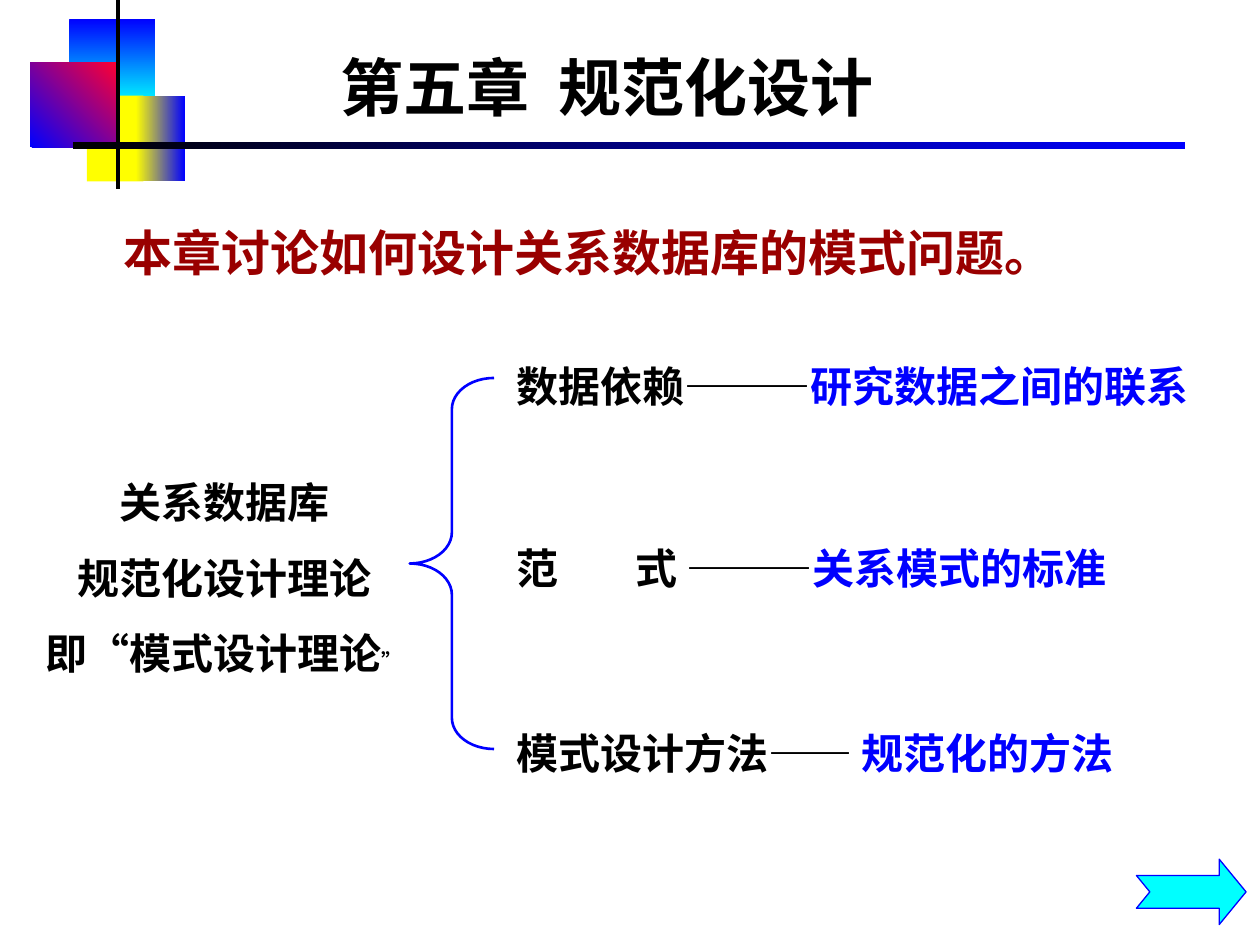
from pptx import Presentation
from pptx.dml.color import RGBColor
from pptx.enum.shapes import MSO_SHAPE
from pptx.enum.text import MSO_ANCHOR, PP_ALIGN
from pptx.oxml import parse_xml
from pptx.oxml.ns import nsdecls
from pptx.util import Cm, Pt

COLORS = {
    "black": "000000", "blue": "0000FF", "cyan": "00FFFF",
    "yellow": "FFFF00", "red": "FF0033", "dark_red": "990000",
}
SANS = "Noto Sans CJK SC"
SERIF = "Times New Roman"


def rgb(name):
    """Return the named colour."""
    return RGBColor.from_string(COLORS[name])


class SlideBuilder:
    """Hold the text style and the current slide, and add its elements."""

    def __init__(self, presentation):
        """Start a title-only slide."""
        self.slide = presentation.slides.add_slide(presentation.slide_layouts[5])
        self.style = {"name": SERIF, "size": Pt(24), "bold": True}

    def fill_text(self, frame, lines, align, spacing=1.0, **changes):
        """Fill a text frame with lines made of (text, colour, format) runs."""
        settings = {"word_wrap": True, "vertical_anchor": MSO_ANCHOR.TOP,
                    "margin_left": Cm(0.25), "margin_right": Cm(0.25),
                    "margin_top": Cm(0.13), "margin_bottom": Cm(0.13)}
        for key, value in settings.items():
            setattr(frame, key, value)
        for index, line in enumerate(lines):
            paragraph = frame.add_paragraph() if index else frame.paragraphs[0]
            paragraph.alignment = align
            paragraph.line_spacing = spacing
            for text, color, special in line:
                run = paragraph.add_run()
                run.text = text
                run.font.color.rgb = rgb(color)
                for key, value in {**self.style, **changes, **special}.items():
                    setattr(run.font, key, value)

    def title(self, box, text):
        """Place and format the title placeholder."""
        shape = self.slide.shapes.title
        shape.left, shape.top, shape.width, shape.height = map(Cm, box)
        self.fill_text(shape.text_frame, [[(text, "black", {})]], PP_ALIGN.CENTER,
                       name=SANS, size=Pt(36))

    def text(self, box, lines, align=PP_ALIGN.LEFT, spacing=1.0, tab=None, **changes):
        """Add a text box, with a tab stop if one is given."""
        frame = self.slide.shapes.add_textbox(*map(Cm, box)).text_frame
        if tab:
            properties = frame.paragraphs[0]._p.get_or_add_pPr()
            properties.append(parse_xml(
                f'<a:tabLst {nsdecls("a")}><a:tab pos="{Cm(tab)}" algn="l"/></a:tabLst>'))
        self.fill_text(frame, lines, align, spacing, **changes)

    def shape(self, kind, box, fill=None, line=None, width=0.75, adjustments=()):
        """Add a preset shape with an optional fill and outline."""
        shape = self.slide.shapes.add_shape(kind, *map(Cm, box))
        shape.shadow.inherit = False
        for index, value in enumerate(adjustments):
            shape.adjustments[index] = value
        if fill:
            shape.fill.solid()
            shape.fill.fore_color.rgb = rgb(fill)
        else:
            shape.fill.background()
        if line:
            shape.line.color.rgb = rgb(line)
            shape.line.width = Pt(width)
        else:
            shape.line.fill.background()
        return shape

    def gradient(self, box, start, end, angle):
        """Add a rectangle with a two-colour gradient, angle counter-clockwise."""
        fill = self.shape(MSO_SHAPE.RECTANGLE, box).fill
        fill.gradient()
        fill.gradient_angle = angle
        for stop, color, position in zip(fill.gradient_stops, (start, end), (0, 1)):
            stop.color.rgb = rgb(color)
            stop.position = position


def main():
    """Build the chapter overview slide."""
    presentation = Presentation()
    presentation.slide_width, presentation.slide_height = Cm(25.4), Cm(19.05)
    builder = SlideBuilder(presentation)

    builder.title((2.24, 0.84, 20, 2.1), "第五章  规范化设计")
    builder.text((2.24, 4.35, 21, 1.7),
                 [[("本章讨论如何设计关系数据库的模式问题。", "dark_red", {})]], size=Pt(28))
    builder.text((0.2, 8.97, 8.64, 3.94), [
        [("关系数据库", "black", {})],
        [("规范化设计理论", "black", {})],
        [("即“模式设计理论", "black", {}), ("”", "black", {"size": Pt(12)})],
    ], PP_ALIGN.CENTER, 1.5)

    topics = [
        (7.14, "数据依赖―――", "研究数据之间的联系", None),
        (10.8, "范\t式 ―――", "关系模式的标准", 2.4),
        (14.53, "模式设计方法―― ", "规范化的方法", None),
    ]
    for top, topic, meaning, tab in topics:
        builder.text((10.16, top, 14.6, 1.6),
                     [[(topic, "black", {}), (meaning, "blue", {})]], tab=tab)

    builder.shape(MSO_SHAPE.LEFT_BRACE, (8.26, 7.62, 1.7, 7.48), line="blue",
                  width=1.5, adjustments=(0.37, 0.5))
    builder.shape(MSO_SHAPE.NOTCHED_RIGHT_ARROW, (22.91, 17.32, 2.21, 1.32),
                  "cyan", "blue", adjustments=(0.5, 0.41))

    builder.gradient((1.4, 0.38, 1.73, 1.73), "blue", "cyan", 270)
    builder.shape(MSO_SHAPE.RECTANGLE, (1.75, 1.93, 1.14, 1.73), "yellow")
    builder.gradient((2.74, 1.93, 0.99, 1.73), "yellow", "blue", 0)
    builder.gradient((0.61, 1.27, 1.75, 1.7), "blue", "red", 45)
    builder.shape(MSO_SHAPE.RECTANGLE, (2.34, 0, 0.08, 3.81), "black")
    builder.gradient((1.47, 2.87, 22.43, 0.13), "black", "blue", 0)

    presentation.save("out.pptx")


if __name__ == "__main__":
    main()
